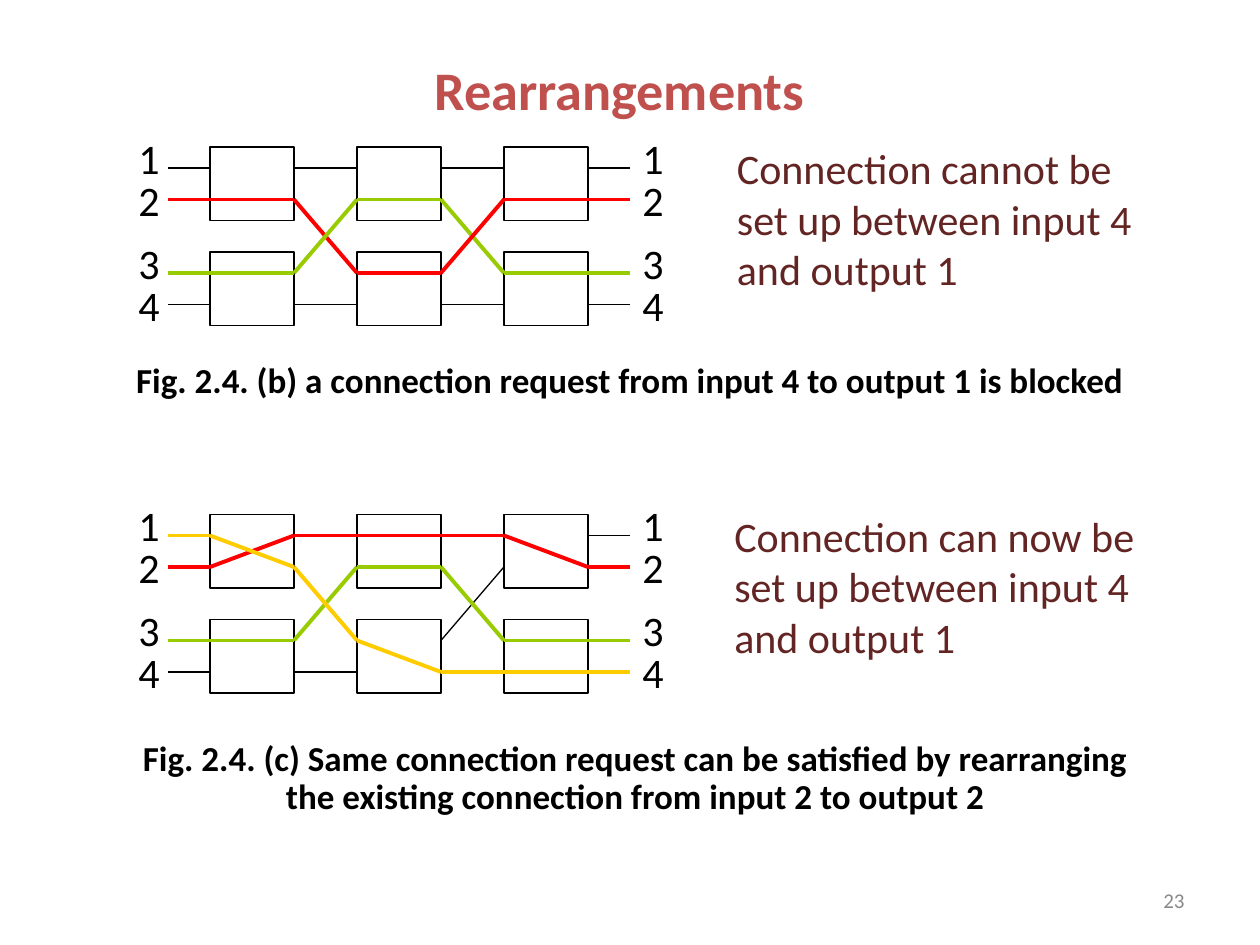
from lxml.etree import SubElement
from pptx import Presentation
from pptx.dml.color import RGBColor
from pptx.enum.shapes import MSO_CONNECTOR as Conn, MSO_SHAPE as Shape
from pptx.enum.text import MSO_ANCHOR as Anchor, PP_ALIGN as Align
from pptx.oxml.ns import qn
from pptx.util import Pt

PX = 9525
BLACK, RED, GREEN, GOLD = "000000", "FF0000", "99CC00", "FFCC00"
BROWN, ROSE, GREY = "632523", "C0504D", "898989"
COLS = [128, 160, 224, 272, 336, 384, 448, 480]
ROWS = [16, 40, 96, 120]
TAGS = [-16, 16, 64, 96]

BLOCKED = [
    *((BLACK, col, [row, row]) for row in (0, 3) for col in (0, 2, 4, 6)),
    (RED, 0, [1, 1, 1, 2, 2]),
    (GREEN, 0, [2, 2, 2, 1, 1, 2, 2, 2]),
    (RED, 4, [2, 1, 1, 1]),
]
MOVED = [
    (BLACK, 6, [0, 0]),
    (BLACK, 0, [3, 3]),
    (BLACK, 2, [3, 3]),
    (BLACK, 4, [2, 1]),
    (RED, 0, [1, 1, 0, 0, 0, 0, 1, 1]),
    (GREEN, 0, [2, 2, 2, 1, 1, 2, 2, 2]),
    (GOLD, 0, [0, 0, 1, 2, 3, 3, 3, 3]),
]


def px(*nums):
    """Turn pixels into EMU."""
    return [num * PX for num in nums]


def tint(code):
    """Make a colour from a hex string."""
    return RGBColor.from_string(code)


def add_text(shapes, spot, text, size, color, bold=False, align=Align.LEFT,
             anchor=Anchor.TOP, wrap=True, gap=None):
    """Add a text box with one style throughout."""
    frame = shapes.add_textbox(*px(*spot)).text_frame
    frame.text = text
    frame.word_wrap = wrap
    frame.vertical_anchor = anchor
    for para in frame.paragraphs:
        para.alignment = align
        para.line_spacing = gap
        for run in para.runs:
            run.font.name = "Calibri"
            run.font.size = Pt(size)
            run.font.bold = bold
            run.font.color.rgb = tint(color)


def add_box(shapes, left, top):
    """Add one switch outline."""
    box = shapes.add_shape(Shape.RECTANGLE, *px(left, top, 64, 56))
    box.shadow.inherit = False
    box.fill.background()
    set_line(box, BLACK)


def set_line(shape, color):
    """Style an outline, thicker when it is coloured."""
    shape.line.color.rgb = tint(color)
    shape.line.width = Pt(0.75 if color == BLACK else 2.25)


def add_wire(shapes, start, end, color):
    """Add a straight wire."""
    wire = shapes.add_connector(Conn.STRAIGHT, *px(*start, *end))
    SubElement(wire._element.spPr, qn("a:effectLst"))
    set_line(wire, color)


def add_cross(shapes, start, end, color):
    """Add a sloping link between two stages."""
    pen = shapes.build_freeform(*start, scale=PX)
    pen.add_line_segments([end], close=False)
    link = pen.convert_to_shape()
    link.shadow.inherit = False
    link.fill.background()
    set_line(link, color)


def add_route(shapes, top, color, first, rows):
    """Draw a path from column to column."""
    spots = [(x, top + ROWS[row]) for x, row in zip(COLS[first:], rows)]
    for col, (start, end) in enumerate(zip(spots, spots[1:]), first):
        cross = col in (2, 4) and start[1] != end[1]
        draw = add_cross if cross else add_wire
        draw(shapes, start, end, color)


def add_net(slide, top, routes):
    """Draw a three-stage network with its routes and port numbers."""
    shapes = slide.shapes.add_group_shape().shapes
    for left in COLS[1:7:2]:
        for drop in (0, 80):
            add_box(shapes, left, top + drop)
    for route in routes:
        add_route(shapes, top, *route)
    for left in (96, 480):
        for num, drop in enumerate(TAGS, 1):
            add_text(shapes, (left, top + drop, 36, 48), str(num), 24, BLACK,
                     wrap=False)


def add_note(slide, left, top, text):
    """Add the remark beside a network."""
    add_text(slide.shapes, (left, top, 329, 125), text, 24, BROWN)


def add_label(slide, spot, text):
    """Add the caption under a network."""
    add_text(slide.shapes, spot, text, 20, BLACK, bold=True,
             align=Align.CENTER, gap=0.9)


def main():
    """Build and save the slide."""
    deck = Presentation()
    deck.slide_width, deck.slide_height = px(960, 720)
    slide = deck.slides.add_slide(deck.slide_layouts[6])
    add_text(slide.shapes, (64, 32, 816, 72), "Rearrangements", 31, ROSE,
             bold=True, align=Align.CENTER, anchor=Anchor.MIDDLE)
    add_net(slide, 112, BLOCKED)
    add_note(slide, 552, 104,
             "Connection cannot be set up between input 4 and output 1")
    add_label(slide, (56, 272, 848, 56),
              "Fig. 2.4. (b) a connection request from input 4 to output 1 "
              "is blocked")
    add_net(slide, 392, MOVED)
    add_note(slide, 550, 384,
             "Connection can now be set up between input 4 and output 1")
    add_label(slide, (56, 560, 856, 80),
              "Fig. 2.4. (c) Same connection request can be satisfied by "
              "rearranging\nthe existing connection from input 2 to output 2")
    add_text(slide.shapes, (688, 667, 224, 38), "23", 12, GREY,
             align=Align.RIGHT, anchor=Anchor.MIDDLE)
    deck.save("out.pptx")


if __name__ == "__main__":
    main()
